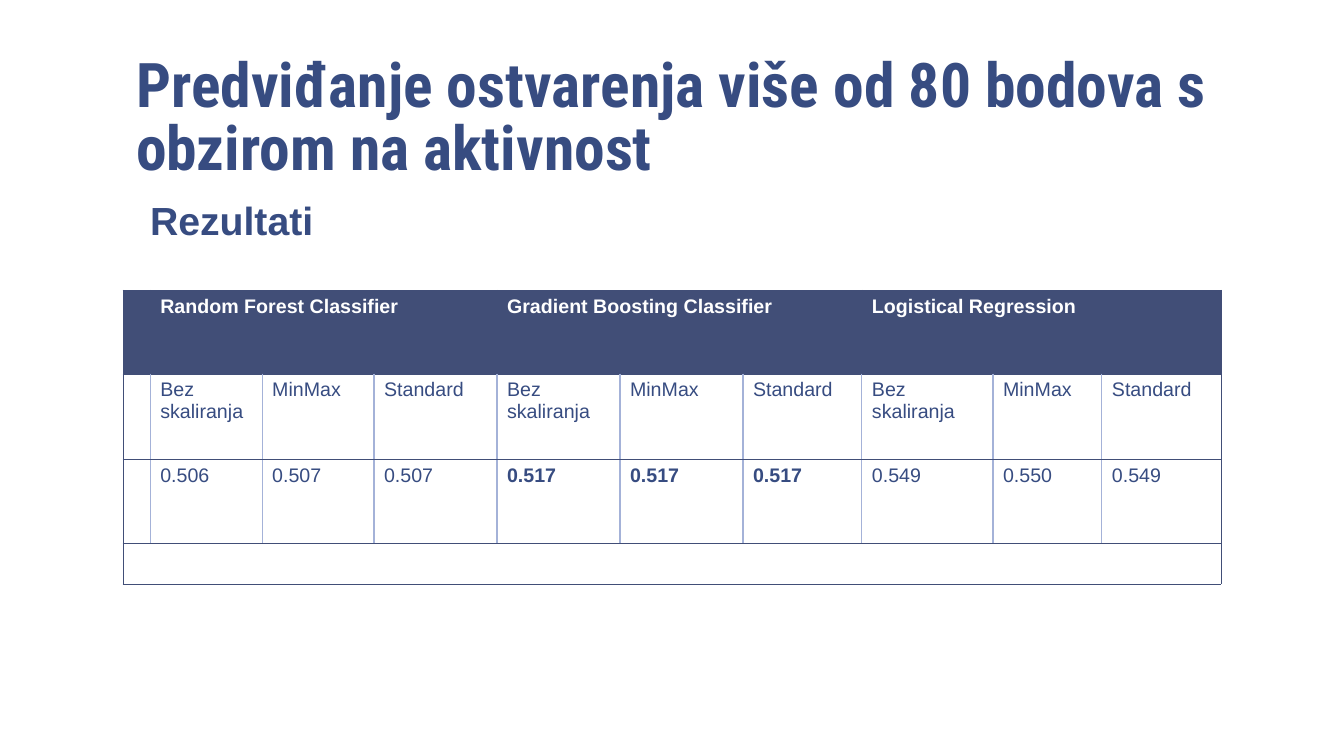
from lxml.etree import SubElement
from pptx import Presentation
from pptx.dml.color import RGBColor
from pptx.enum.shapes import MSO_SHAPE
from pptx.enum.text import MSO_ANCHOR
from pptx.oxml.ns import qn
from pptx.util import Inches, Pt

TITLE = "Predviđanje ostvarenja više od 80 bodova s obzirom na aktivnost"
SUBTITLE = "Rezultati"
SCALINGS = ["Bez skaliranja", "MinMax", "Standard"]
RESULTS = {
    "Random Forest Classifier": ["0.506", "0.507", "0.507"],
    "Gradient Boosting Classifier": ["0.517", "0.517", "0.517"],
    "Logistical Regression": ["0.549", "0.550", "0.549"],
}
HIGHLIGHTED = "Gradient Boosting Classifier"

COLUMN_WIDTHS = [0.27, 1.11, 1.11, 1.22, 1.22, 1.22, 1.18, 1.3, 1.08, 1.18]
ROW_HEIGHTS = [0.83, 0.85, 0.83, 0.4]
HEADER, SCALING, SCORE, FOOTER = range(len(ROW_HEIGHTS))
LAST_COLUMN = len(COLUMN_WIDTHS) - 1
SLIDE_WIDTH, SLIDE_HEIGHT = 13.33, 7.5
LEFT = 1.22

WHITE = RGBColor(0xFF, 0xFF, 0xFF)
NAVY = RGBColor(0x37, 0x4C, 0x81)
SLATE = RGBColor(0x41, 0x4E, 0x77)
PALE_BLUE = RGBColor(0xA4, 0xB2, 0xD8)


def write(frame, text, size=14, color=NAVY, bold=False, font="Arial", spacing=None):
    frame.word_wrap = True
    paragraph = frame.paragraphs[0]
    paragraph.line_spacing = spacing
    paragraph.font.size = Pt(size)
    run = paragraph.add_run()
    run.text = text
    run.font.size = Pt(size)
    run.font.name = font
    run.font.bold = bold
    run.font.color.rgb = color


def add_text_box(slide, left, top, width, height):
    box = slide.shapes.add_textbox(*map(Inches, (left, top, width, height)))
    return box.text_frame


def set_border(cell, side, color, width):
    line = SubElement(cell._tc.get_or_add_tcPr(), qn(f"a:ln{side}"), w=str(Pt(width)))
    fill = SubElement(line, qn("a:solidFill"))
    SubElement(fill, qn("a:srgbClr"), val=str(color))


def style_cell(cell, row, column):
    """Frame and row rules are slate; inner column rules of the body are pale."""
    pale, slate = (PALE_BLUE, 1), (SLATE, 0.5)
    inner = pale if row in (SCALING, SCORE) else slate
    set_border(cell, "L", *(slate if column == 0 else inner))
    set_border(cell, "R", *(slate if column == LAST_COLUMN else inner))
    set_border(cell, "T", *slate)
    set_border(cell, "B", *slate)
    if row == HEADER:
        cell.fill.solid()
        cell.fill.fore_color.rgb = SLATE
    else:
        cell.fill.background()


def add_results_table(slide):
    shape = slide.shapes.add_table(
        len(ROW_HEIGHTS), len(COLUMN_WIDTHS), Inches(LEFT), Inches(2.88),
        Inches(sum(COLUMN_WIDTHS)), Inches(sum(ROW_HEIGHTS)))
    table = shape.table
    table.first_row = table.horz_banding = False
    for column, width in zip(table.columns, COLUMN_WIDTHS):
        column.width = Inches(width)
    for row, height in zip(table.rows, ROW_HEIGHTS):
        row.height = Inches(height)
    for row in range(len(ROW_HEIGHTS)):
        for column in range(len(COLUMN_WIDTHS)):
            style_cell(table.cell(row, column), row, column)

    group_size = len(SCALINGS)
    for group, (classifier, scores) in enumerate(RESULTS.items()):
        first = 1 + group * group_size
        heading = table.cell(HEADER, first)
        heading.merge(table.cell(HEADER, first + group_size - 1))
        write(heading.text_frame, classifier, color=WHITE, bold=True)
        for column, (scaling, score) in enumerate(zip(SCALINGS, scores), first):
            write(table.cell(SCALING, column).text_frame, scaling)
            write(table.cell(SCORE, column).text_frame, score,
                  bold=classifier == HIGHLIGHTED)
    table.cell(FOOTER, 0).merge(table.cell(FOOTER, LAST_COLUMN))


def main():
    deck = Presentation()
    deck.slide_width, deck.slide_height = Inches(SLIDE_WIDTH), Inches(SLIDE_HEIGHT)
    slide = deck.slides.add_slide(deck.slide_layouts[6])

    panel = slide.shapes.add_shape(
        MSO_SHAPE.RECTANGLE, Inches(0.33), 0, Inches(12.66), Inches(SLIDE_HEIGHT))
    panel.shadow.inherit = False
    panel.fill.solid()
    panel.fill.fore_color.rgb = WHITE
    panel.line.fill.background()

    add_results_table(slide)

    title = add_text_box(slide, LEFT, 0.36, 11.11, 1.53)
    title.vertical_anchor = MSO_ANCHOR.BOTTOM
    title.margin_left = title.margin_right = Inches(0.13)
    title.margin_top = title.margin_bottom = Inches(0.07)
    write(title, TITLE, size=44, bold=True, font="Roboto Condensed", spacing=0.85)

    subtitle = add_text_box(slide, 1.39, 1.9, 3.17, 0.57)
    write(subtitle, SUBTITLE, size=28, bold=True)

    deck.save("out.pptx")


if __name__ == "__main__":
    main()
